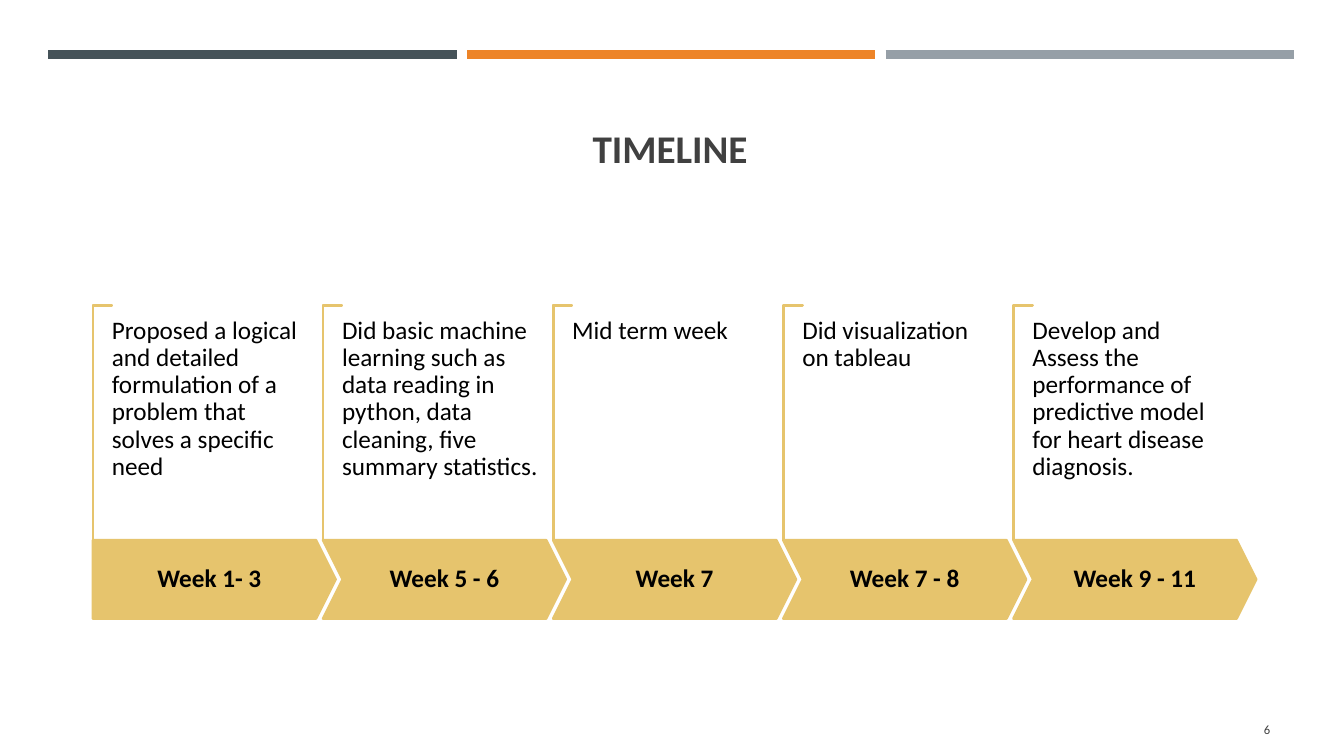
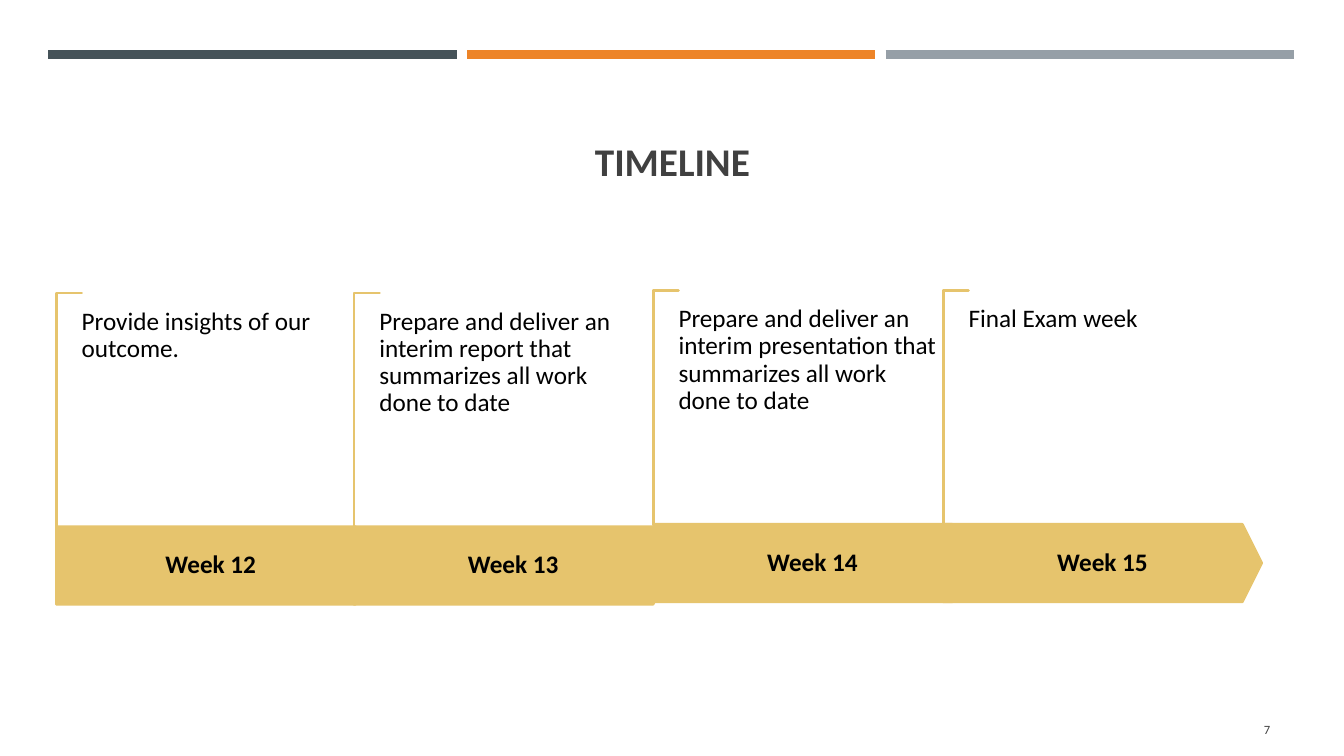
"""Build two timeline slides with bracketed notes above a band of week arrows."""
from lxml.etree import SubElement
from pptx import Presentation
from pptx.dml.color import RGBColor
from pptx.enum.shapes import MSO_CONNECTOR, MSO_SHAPE
from pptx.enum.text import MSO_ANCHOR, MSO_AUTO_SIZE, PP_ALIGN
from pptx.oxml.ns import qn
from pptx.util import Cm, Pt

FONT = "Calibri"
GOLD, WHITE, BLACK, GREY = "E6C46D", "FFFFFF", "000000", "404040"
BANDS = ["465359", "ED8428", "969FA7"]


def rgb(value):
    return RGBColor.from_string(value)


def write(sp, text, size, color=BLACK, bold=False, align=PP_ALIGN.LEFT,
          anchor=MSO_ANCHOR.TOP, inset=0, spacing=None):
    tf = sp.text_frame
    tf.word_wrap = True
    tf.auto_size = MSO_AUTO_SIZE.NONE
    tf.vertical_anchor = anchor
    tf.margin_left = tf.margin_right = Cm(inset)
    tf.margin_top = tf.margin_bottom = Cm(inset / 2)
    p = tf.paragraphs[0]
    p.alignment = align
    p.line_spacing = spacing
    r = p.add_run()
    r.text = text
    r.font.name = FONT
    r.font.size = Pt(size)
    r.font.bold = bold
    r.font.color.rgb = rgb(color)


timelines = [
    dict(
        number="6", title=(1.52, 2.51, 30.73, 1.93),
        bar=(6.12, 1.98), bracket=(5.92, 0.48), note=(4.95, 4.22), note_drop=0.31,
        places=[(2.34 + 5.8 * i, 13.61) for i in range(5)],
        steps=[
            ("Week 1- 3", "Proposed a logical and detailed formulation of a problem "
                          "that solves a specific need"),
            ("Week 5 - 6", "Did basic machine learning such as data reading in python, "
                           "data cleaning, five summary statistics."),
            ("Week 7", "Mid term week"),
            ("Week 7 - 8", "Did visualization on tableau"),
            ("Week 9 - 11", "Develop and Assess the performance of predictive model "
                            "for heart disease diagnosis."),
        ],
    ),
    dict(
        number="7", title=(1.63, 3.2, 30.63, 1.57),
        bar=(8.03, 1.96), bracket=(5.89, 0.64), note=(6.5, 3.99), note_drop=0.39,
        places=[(1.42, 13.27), (8.92, 13.27), (16.46, 13.21), (23.77, 13.21)],
        steps=[
            ("Week 12", "Provide insights of our outcome."),
            ("Week 13", "Prepare and deliver an interim report that summarizes "
                        "all work done to date"),
            ("Week 14", "Prepare and deliver an interim presentation that summarizes "
                        "all work done to date"),
            ("Week 15", "Final Exam week"),
        ],
    ),
]

prs = Presentation()
prs.slide_width, prs.slide_height = Cm(33.87), Cm(19.05)
layout = prs.slide_layouts[5]
slides = [prs.slides.add_slide(layout) for _ in timelines]

for i, color in enumerate(BANDS):
    x = 1.22 + 10.55 * i
    band = slides[0].shapes.add_connector(
        MSO_CONNECTOR.STRAIGHT, Cm(x), Cm(1.37), Cm(x + 10.29), Cm(1.37))
    band.line.color.rgb = rgb(color)
    band.line.width = Pt(6.5)
    SubElement(band.element.spPr, qn("a:effectLst"))
    band.element.nvCxnSpPr.cNvPr.id = 20 + i
    layout.shapes.element.append(band.element)

for s, timeline in zip(slides, timelines):
    title = s.shapes.title
    title.left, title.top, title.width, title.height = map(Cm, timeline["title"])
    write(title, "TIMELINE", 28, GREY, True, PP_ALIGN.CENTER, MSO_ANCHOR.BOTTOM, 0.25)

    number = s.shapes.add_textbox(Cm(29.34), Cm(17.86), Cm(2.92), Cm(1.02))
    write(number, timeline["number"], 9, GREY, False, PP_ALIGN.RIGHT,
          MSO_ANCHOR.MIDDLE, 0.25)

    bar_w, bar_h = timeline["bar"]
    stem, arm = timeline["bracket"]
    note_w, note_h = timeline["note"]
    for i, ((x, y), (week, text)) in enumerate(zip(timeline["places"], timeline["steps"])):
        top = y - stem
        bracket = s.shapes.add_shape(
            MSO_SHAPE.CORNER, Cm(x + (arm - stem) / 2), Cm(top + (stem - arm) / 2),
            Cm(stem), Cm(arm))
        bracket.rotation = 90
        bracket.adjustments[0] = bracket.adjustments[1] = 0.01
        arrow = s.shapes.add_shape(
            MSO_SHAPE.CHEVRON if i else MSO_SHAPE.PENTAGON,
            Cm(x), Cm(y), Cm(bar_w), Cm(bar_h))
        arrow.adjustments[0] = 0.25
        for sp, fill in ((bracket, WHITE), (arrow, GOLD)):
            sp.shadow.inherit = False
            sp.fill.solid()
            sp.fill.fore_color.rgb = rgb(fill)
            sp.line.color.rgb = rgb(GOLD)
            sp.line.width = Pt(1.75)
        write(arrow, week, 18, bold=True, align=PP_ALIGN.CENTER,
              anchor=MSO_ANCHOR.MIDDLE, spacing=0.9)
        note = s.shapes.add_textbox(
            Cm(x + arm), Cm(top + timeline["note_drop"]), Cm(note_w), Cm(note_h))
        write(note, text, 18, spacing=0.9)

prs.save("out.pptx")
